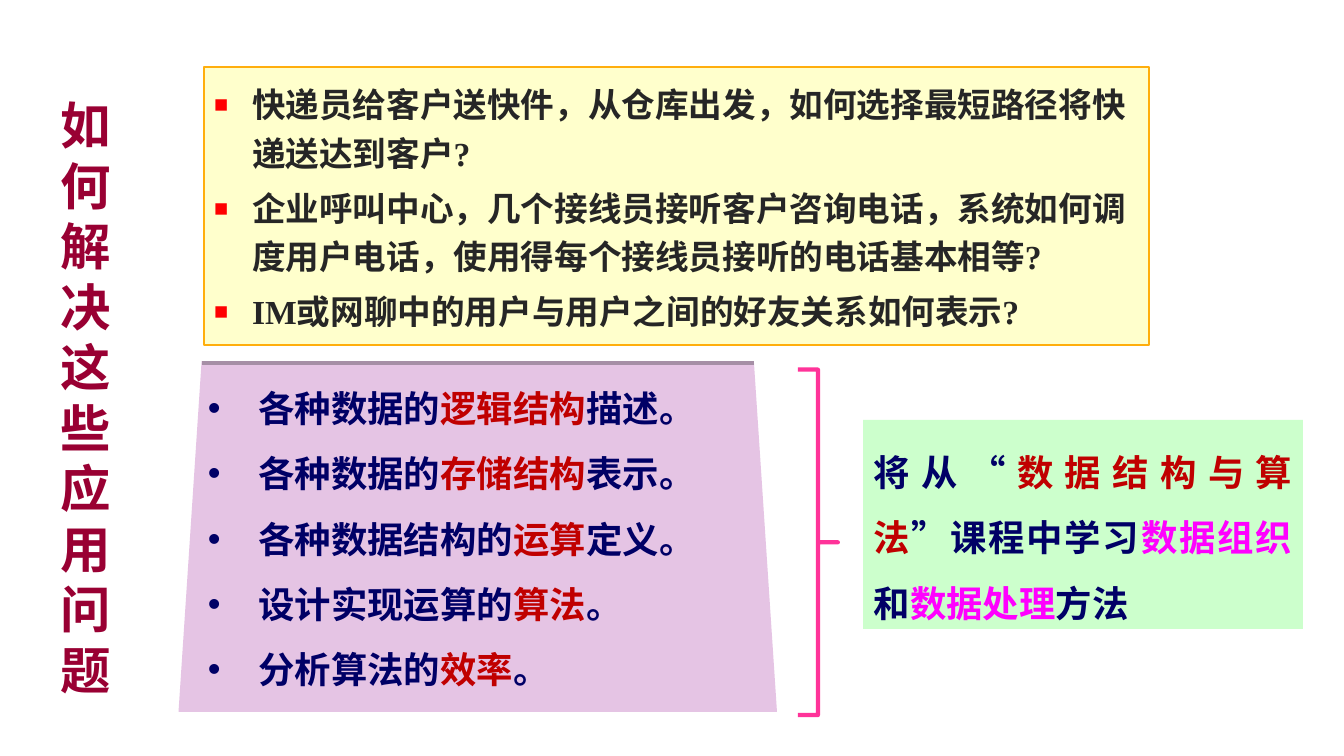
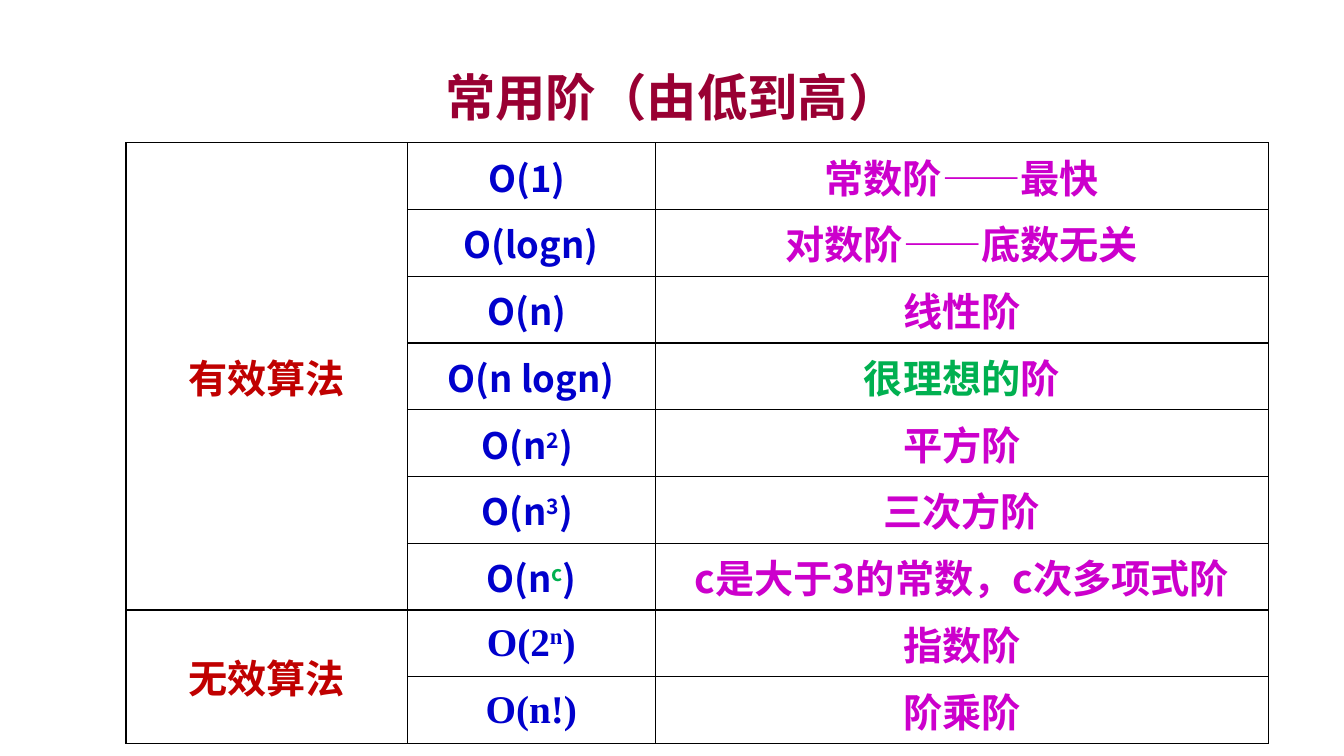
"""Build two slides on data structures and orders of growth."""
from lxml import etree
from pptx import Presentation
from pptx import util as u
from pptx.dml import color
from pptx.enum import shapes, text
from pptx.oxml import ns

PX = 9525
SANS, SERIF = "Noto Sans CJK SC", "Times New Roman"
C = {
    "title": "990033", "question_fill": "FFFFCC", "question_line": "FFAE0D",
    "bullet": "FF0000", "ink": "262626", "navy": "000066", "key": "C00000",
    "topic_fill": "E5C4E4", "topic_edge": "A68FA6", "course_fill": "CCFFCC",
    "pink": "FF00FF", "brace": "FF3399", "order": "0000CC", "name": "CC00CC",
    "green": "00B050", "cell": "FFFFFF", "border": "000000",
}

QUESTIONS = [
    "快递员给客户送快件，从仓库出发，如何选择最短路径将快递送达到客户?",
    "企业呼叫中心，几个接线员接听客户咨询电话，系统如何调度用户电话，使用得每个接线员接听的电话基本相等?",
    "IM或网聊中的用户与用户之间的好友关系如何表示?",
]
TOPICS = [
    ("各种数据的", "逻辑结构", "描述。"),
    ("各种数据的", "存储结构", "表示。"),
    ("各种数据结构的", "运算", "定义。"),
    ("设计实现运算的", "算法", "。"),
    ("分析算法的", "效率", "。"),
]
COURSE = [
    ("将从“", "navy"), ("数据结构与算法", "key"), ("”课程中学习", "navy"),
    ("数据组织", "pink"), ("和", "navy"), ("数据处理", "pink"), ("方法", "navy"),
]
GROUPS = [("有效算法", 7), ("无效算法", 2)]
ORDERS = [
    ([("O(1) ", "order")], [("常数阶——最快", "name")]),
    ([("O(logn)", "order")], [("对数阶——底数无关", "name")]),
    ([("O(n) ", "order")], [("线性阶", "name")]),
    ([("O(n logn)", "order")], [("很理想的", "green"), ("阶", "name")]),
    ([("O(n", "order"), ("2", "order", 30), (") ", "order")], [("平方阶", "name")]),
    ([("O(n", "order"), ("3", "order", 30), (") ", "order")], [("三次方阶", "name")]),
    ([("O(n", "order"), ("c", "green", 30), (")", "order")],
     [("c是大于3的常数，c次多项式阶", "name")]),
    ([("O(2", "order"), ("n", "order", 30), (")", "order")], [("指数阶", "name")]),
    ([("O(n!)", "order")], [("阶乘阶", "name")]),
]


def px(*values):
    """Turn px lengths into EMU."""
    return [u.Emu(v * PX) for v in values]


def rgb(name):
    """Look up a palette colour."""
    return color.RGBColor.from_string(C[name])


def place(sp, box):
    """Move a shape to a px box."""
    sp.left, sp.top, sp.width, sp.height = px(*box)


def paint(sp, fill=None, line=None, width=1):
    """Set fill and outline of a shape without shadow."""
    if fill:
        sp.fill.solid()
        sp.fill.fore_color.rgb = rgb(fill)
    else:
        sp.fill.background()
    if line:
        sp.line.color.rgb = rgb(line)
        sp.line.width = u.Pt(width)
    else:
        sp.line.fill.background()


def frame(sp, left=10, top=5, anchor=text.MSO_ANCHOR.TOP):
    """Prepare a wrapping text frame with px margins."""
    tf = sp.text_frame
    tf.word_wrap = True
    tf.auto_size = text.MSO_AUTO_SIZE.NONE
    tf.vertical_anchor = anchor
    tf.margin_left, tf.margin_right, tf.margin_top, tf.margin_bottom = px(left, 10, top, 5)
    return tf


def write(p, runs, size, font=SANS, align=text.PP_ALIGN.LEFT, pitch=None, after=0):
    """Fill a paragraph with (text, colour, raise) runs."""
    p.alignment = align
    p.space_before, p.space_after = u.Pt(0), u.Pt(after)
    if pitch:
        p.line_spacing = u.Pt(pitch)
    p.font.size, p.font.bold, p.font.name = u.Pt(size), True, font
    def_rpr = p._p.pPr.find(ns.qn("a:defRPr"))
    etree.SubElement(def_rpr, ns.qn("a:ea"), typeface=SANS)
    for words, tint, *lift in runs:
        r = p.add_run()
        r.text = words
        r.font.color.rgb = rgb(tint)
        if lift:
            r._r.get_or_add_rPr().set("baseline", str(lift[0] * 1000))


def bullet(p, char, indent, tint=None, percent=100):
    """Give a paragraph a hanging bullet."""
    ppr = p._p.get_or_add_pPr()
    ppr.set("marL", str(indent * PX))
    ppr.set("indent", str(-indent * PX))
    marks = []
    if tint:
        clr = etree.Element(ns.qn("a:buClr"))
        etree.SubElement(clr, ns.qn("a:srgbClr"), val=C[tint])
        marks.append(clr)
    marks.append(etree.Element(ns.qn("a:buSzPct"), val=str(percent * 1000)))
    marks.append(etree.Element(ns.qn("a:buFont"), typeface="Arial"))
    marks.append(etree.Element(ns.qn("a:buChar"), char=char))
    def_rpr = ppr.find(ns.qn("a:defRPr"))
    for mark in marks:
        def_rpr.addprevious(mark)


def paragraphs(tf, count):
    """Return the given number of paragraphs of a frame."""
    return [tf.paragraphs[0]] + [tf.add_paragraph() for _ in range(count - 1)]


def title(s, words, box, pitch=None):
    """Place the slide title."""
    sp = s.shapes.title
    place(sp, box)
    tf = frame(sp, anchor=text.MSO_ANCHOR.MIDDLE)
    write(tf.paragraphs[0], [(words, "title")], 36, align=text.PP_ALIGN.CENTER, pitch=pitch)


def questions(s, box):
    """Place the framed list of questions."""
    sp = s.placeholders[1]
    place(sp, box)
    paint(sp, "question_fill", "question_line", 1.5)
    tf = frame(sp, top=8)
    for p, words in zip(paragraphs(tf, len(QUESTIONS)), QUESTIONS):
        write(p, [(words, "ink")], 24, SERIF, pitch=34.8, after=4.5)
        bullet(p, "■", 36, "bullet", 70)


def topics(s, box):
    """Place the trapezoid with the list of topics."""
    x, y, w, h = box
    slant = 22
    fb = s.shapes.build_freeform(x + slant, y, scale=PX)
    fb.add_line_segments([(x + w - slant, y), (x + w, y + h), (x, y + h)], close=True)
    sp = fb.convert_to_shape()
    sp.shadow.inherit = False
    paint(sp, "topic_fill")
    edge = s.shapes.add_connector(shapes.MSO_CONNECTOR.STRAIGHT,
                                  *px(x + slant, y + 2, x + w - slant, y + 2))
    edge.line.color.rgb = rgb("topic_edge")
    edge.line.width = u.Pt(3)
    etree.SubElement(edge._element.spPr, ns.qn("a:effectLst"))
    tf = frame(sp, left=28, top=3)
    for p, parts in zip(paragraphs(tf, len(TOPICS)), TOPICS):
        write(p, zip(parts, ("navy", "key", "navy")), 26, pitch=46.7)
        bullet(p, "•", 48)


def course(s, box):
    """Place the brace and the course note beside it."""
    x, y, w, h = box
    brace = s.shapes.add_shape(shapes.MSO_SHAPE.RIGHT_BRACE, *px(x, y, 38, h))
    brace.adjustments[0], brace.adjustments[1] = 0, 0.5
    brace.shadow.inherit = False
    paint(brace, line="brace", width=3)
    note = s.shapes.add_shape(shapes.MSO_SHAPE.RECTANGLE, *px(x + 62, y + 48, w - 62, 199))
    note.shadow.inherit = False
    paint(note, "course_fill")
    write(frame(note, top=8).paragraphs[0], COURSE, 26,
          align=text.PP_ALIGN.JUSTIFY, pitch=46.7)


def border(cell):
    """Draw thin lines on all sides of a cell."""
    tcpr = cell._tc.get_or_add_tcPr()
    for side in ("lnL", "lnR", "lnT", "lnB"):
        ln = etree.SubElement(tcpr, ns.qn("a:" + side), w=str(u.Pt(1)))
        fill = etree.SubElement(ln, ns.qn("a:solidFill"))
        etree.SubElement(fill, ns.qn("a:srgbClr"), val=C["border"])


def fill_cell(cell, runs, size, font=SANS):
    """Write centred text into a cell."""
    cell.vertical_anchor = text.MSO_ANCHOR.MIDDLE
    write(cell.text_frame.paragraphs[0], runs, size, font, text.PP_ALIGN.CENTER)


def order_table(s, left, top, widths, row_height):
    """Place the table of orders of growth."""
    count = len(ORDERS)
    box = px(left, top, sum(widths), row_height * count)
    table = s.shapes.add_table(count, len(widths), *box).table
    table.first_row = table.horz_banding = False
    for column, width in zip(table.columns, px(*widths)):
        column.width = width
    for cell in table.iter_cells():
        border(cell)
        cell.fill.solid()
        cell.fill.fore_color.rgb = rgb("cell")
    start = 0
    for words, span in GROUPS:
        table.cell(start, 0).merge(table.cell(start + span - 1, 0))
        fill_cell(table.cell(start, 0), [(words, "key")], 28)
        start += span
    for i, (order, name) in enumerate(ORDERS):
        size, font = (26, SANS) if i < GROUPS[0][1] else (28, SERIF)
        fill_cell(table.cell(i, 1), order, size, font)
        fill_cell(table.cell(i, 2), name, 28)


def main():
    """Build and save the presentation."""
    prs = Presentation()
    prs.slide_width, prs.slide_height = px(1280, 720)

    s = prs.slides.add_slide(prs.slide_layouts[1])
    title(s, "如何解决这些应用问题", (28, 64, 108, 628), pitch=43.2)
    questions(s, (194, 64, 900, 265))
    topics(s, (170, 344, 570, 334))
    course(s, (760, 352, 481, 329))

    s = prs.slides.add_slide(prs.slide_layouts[5])
    title(s, "常用阶（由低到高）", (96, 56, 1088, 72))
    order_table(s, 120, 136, (268, 236, 584), 60)
    prs.save("out.pptx")


if __name__ == "__main__":
    main()
